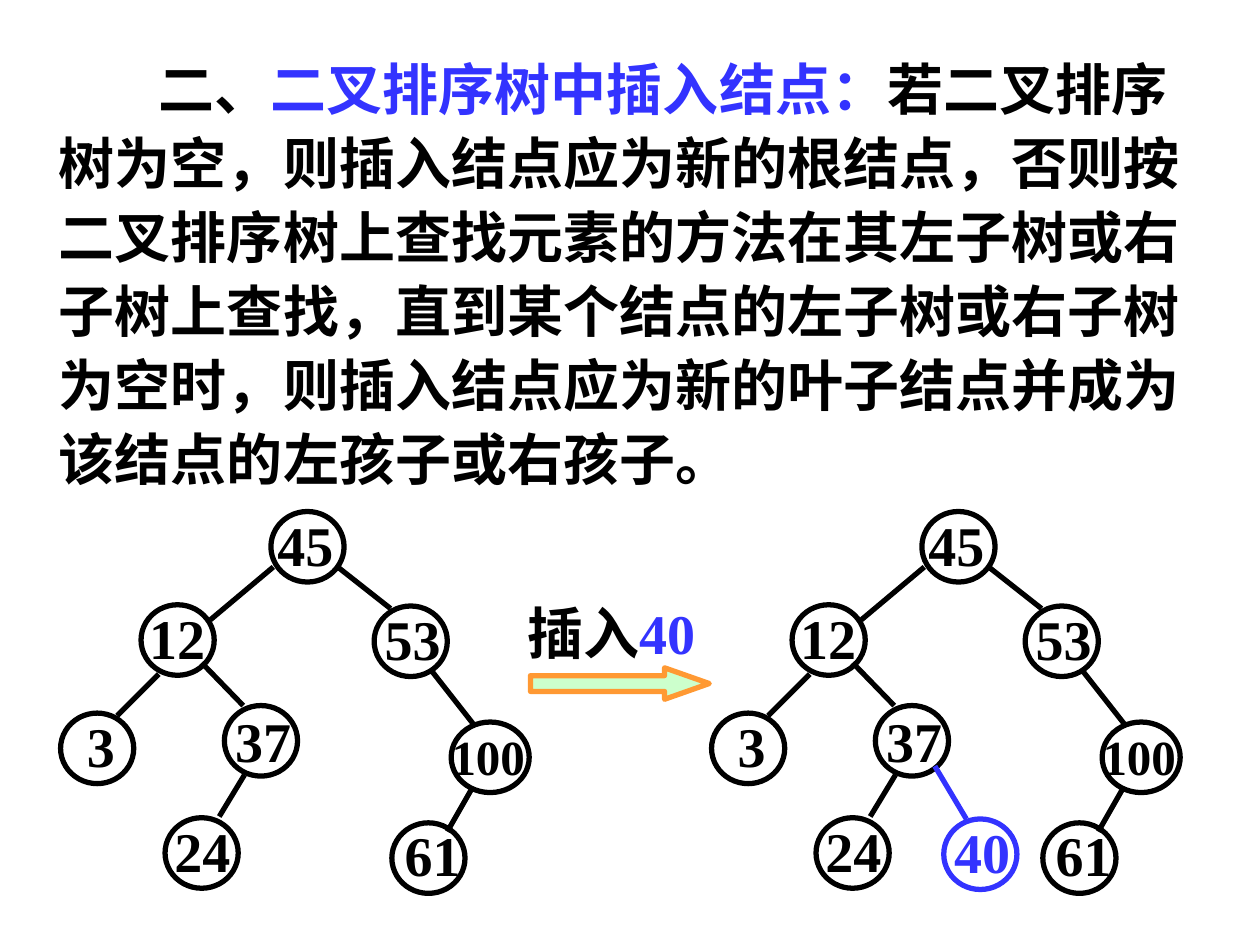
from dataclasses import dataclass
from typing import NamedTuple

from lxml import etree
from pptx import Presentation
from pptx.dml.color import RGBColor
from pptx.enum.shapes import MSO_CONNECTOR, MSO_SHAPE
from pptx.enum.text import MSO_ANCHOR, MSO_AUTO_SIZE, PP_ALIGN
from pptx.oxml.ns import qn
from pptx.util import Pt

ELLIPSE, RIGHT_ARROW = MSO_SHAPE.OVAL, MSO_SHAPE.RIGHT_ARROW
STRAIGHT = MSO_CONNECTOR.STRAIGHT
CENTER, LEFT = PP_ALIGN.CENTER, PP_ALIGN.LEFT
TOP, GROW = MSO_ANCHOR.TOP, MSO_AUTO_SIZE.SHAPE_TO_FIT_TEXT
BLANK_LAYOUT = 6


@dataclass(frozen=True)
class Theme:
    font: str = "Times New Roman"
    ink: RGBColor = RGBColor(0x00, 0x00, 0x00)
    accent: RGBColor = RGBColor(0x33, 0x33, 0xFF)
    arrow_fill: RGBColor = RGBColor(0xCC, 0xFF, 0xCC)
    arrow_line: RGBColor = RGBColor(0xFF, 0x99, 0x33)
    size: float = 32
    small: float = 28
    stroke: float = 3


THEME = Theme()


class Node(NamedTuple):
    """Ellipse corner, then the label's offset from it and its width."""
    key: str
    x: float
    y: float
    label_dx: float
    label_dy: float
    label_width: float
    width: float = 41.8
    size: float = THEME.size


class Edge(NamedTuple):
    x1: float
    y1: float
    x2: float
    y2: float


NODE_HEIGHT = 40.3
TREE_SHIFT = 372  # distance between the trees before and after insertion

NODES = [
    Node("45", 154.8, 292.3, -4.3, -4.3, 48.2),
    Node("12", 80.6, 345.6, -6.4, -4.3, 54),
    Node("53", 213.8, 346.3, -2.1, -4.3, 48.2),
    Node("3", 34.6, 407.5, 5, -4.3, 36),
    Node("37", 128.2, 403.2, -4.4, -2.9, 53.3),
    Node("100", 257.8, 412.6, -8.7, -0.8, 59.8, 44.6, THEME.small),
    Node("24", 94.3, 467.3, -5.7, -4.3, 54),
    Node("61", 223.9, 470.2, -0.7, -5.1, 48.2),
]
EDGES = [
    Edge(156.2, 324, 120.2, 354.2),      # 45 - 12
    Edge(193, 324, 223.2, 347.8),        # 45 - 53
    Edge(90.7, 385.2, 67, 409),          # 12 - 3
    Edge(115.2, 378.7, 139, 403.2),      # 12 - 37
    Edge(247, 383.8, 270.7, 414),        # 53 - 100
    Edge(139.7, 442.8, 125.3, 466.6),    # 37 - 24
    Edge(270, 450, 255.6, 475.2),        # 100 - 61
]
NEW_NODE = Node("40", 167.3, 468, -5.1, -4.3, 54)
NEW_EDGE = Edge(162.2, 437.8, 180.2, 468)

RULE = [
    ("二、", THEME.ink),
    ("二叉排序树中插入结点：", THEME.accent),
    ("若二叉排序树为空，则插入结点应为新的根结点，否则按二叉排序树上查找元素的方法"
     "在其左子树或右子树上查找，直到某个结点的左子树或右子树为空时，"
     "则插入结点应为新的叶子结点并成为该结点的左孩子或右孩子。", THEME.ink),
]


def add_text(slide, box, runs, size=THEME.size, align=CENTER, wrap=True):
    """Add a bold text box; runs are (text, colour) pairs."""
    frame = slide.shapes.add_textbox(*map(Pt, box)).text_frame
    frame_format = {"word_wrap": wrap, "auto_size": GROW, "vertical_anchor": TOP}
    for name, value in frame_format.items():
        setattr(frame, name, value)
    paragraph = frame.paragraphs[0]
    paragraph.alignment = align
    for text, color in runs:
        run = paragraph.add_run()
        run.text = text
        font_format = {"name": THEME.font, "size": Pt(size), "bold": True}
        for name, value in font_format.items():
            setattr(run.font, name, value)
        run.font.color.rgb = color
    return paragraph


def set_line(shape, color):
    shape.line.color.rgb = color
    shape.line.width = Pt(THEME.stroke)


def add_outlined(slide, kind, box, color):
    shape = slide.shapes.add_shape(kind, *map(Pt, box))
    shape.shadow.inherit = False
    set_line(shape, color)
    return shape


def add_node(slide, node, shift, color):
    label_box = (node.x + shift + node.label_dx, node.y + node.label_dy,
                 node.label_width, node.size * 1.44)
    add_text(slide, label_box, [(node.key, color)], node.size)
    ring = add_outlined(slide, ELLIPSE,
                        (node.x + shift, node.y, node.width, NODE_HEIGHT), color)
    ring.fill.background()


def add_edge(slide, edge, shift, color):
    ends = (edge.x1 + shift, edge.y1, edge.x2 + shift, edge.y2)
    line = slide.shapes.add_connector(STRAIGHT, *map(Pt, ends))
    set_line(line, color)
    etree.SubElement(line._element.spPr, qn("a:effectLst"))


def add_tree(slide, nodes, edges, shift, color):
    for node in nodes:
        add_node(slide, node, shift, color)
    for edge in edges:
        add_edge(slide, edge, shift, color)


def add_rule(slide):
    paragraph = add_text(slide, (26.6, 23.8, 663.1, 260.6), RULE, align=LEFT)
    paragraph.line_spacing = 1.1
    paragraph._p.get_or_add_pPr().set("indent", str(Pt(57)))


def add_insert_step(slide):
    add_text(slide, (290.2, 338.4, 118.1, 46),
             [("插入", THEME.ink), ("40", THEME.accent)], wrap=False)
    arrow = add_outlined(slide, RIGHT_ARROW, (303.1, 381.6, 102.2, 18),
                         THEME.arrow_line)
    arrow.fill.solid()
    arrow.fill.fore_color.rgb = THEME.arrow_fill
    arrow.adjustments[1] = 1.42


def main():
    deck = Presentation()
    deck.slide_width, deck.slide_height = Pt(720), Pt(540)
    slide = deck.slides.add_slide(deck.slide_layouts[BLANK_LAYOUT])

    # Insertion rule
    add_rule(slide)

    # Trees before and after the insertion
    for shift in (0, TREE_SHIFT):
        add_tree(slide, NODES, EDGES, shift, THEME.ink)

    # Insertion step and the new leaf
    add_insert_step(slide)
    add_tree(slide, [NEW_NODE], [NEW_EDGE], TREE_SHIFT, THEME.accent)

    deck.save("out.pptx")


if __name__ == "__main__":
    main()
